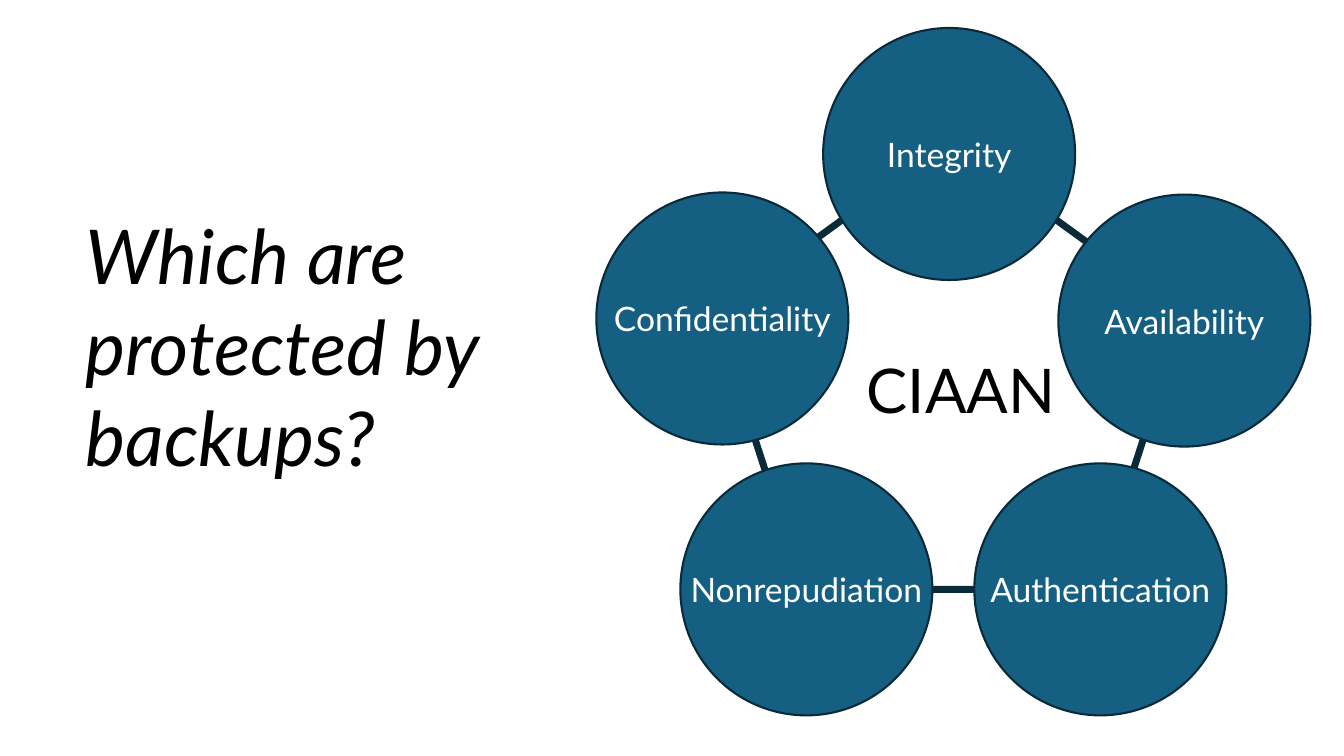
from dataclasses import dataclass

from pptx import Presentation
from pptx.dml.color import RGBColor
from pptx.enum.shapes import MSO_SHAPE
from pptx.enum.text import MSO_ANCHOR, MSO_AUTO_SIZE, PP_ALIGN
from pptx.util import Pt


@dataclass(frozen=True)
class Theme:
    font: str = "Lato"
    text: str = "000000"
    on_fill: str = "FFFFFF"
    fill: str = "156082"
    line: str = "092A39"
    question_size: int = 54
    title_size: int = 44
    label_size: int = 24
    ring_width: float = 5
    circle_width: float = 1.5


def write_text(tf, text, *, font, size, color, italic=False, align=PP_ALIGN.LEFT,
               anchor=MSO_ANCHOR.TOP, wrap=True, spacing=1.0):
    """Fill a text frame with one formatted paragraph."""
    tf.word_wrap = wrap
    tf.vertical_anchor = anchor
    p = tf.paragraphs[0]
    p.alignment = align
    p.line_spacing = spacing
    r = p.add_run()
    r.text = text
    r.font.name = font
    r.font.size = Pt(size)
    r.font.italic = italic
    r.font.color.rgb = RGBColor.from_string(color)


class SlideBuilder:
    def __init__(self, slide, theme):
        self.s = slide
        self.theme = theme

    def text_box(self, text, x, y, w, h, size, grow=False, **fmt):
        sp = self.s.shapes.add_textbox(Pt(x), Pt(y), Pt(w), Pt(h))
        write_text(sp.text_frame, text, font=self.theme.font, size=size,
                   color=self.theme.text, **fmt)
        if grow:
            sp.text_frame.auto_size = MSO_AUTO_SIZE.SHAPE_TO_FIT_TEXT

    def shape(self, kind, x, y, w, h, line_width, fill=None):
        sp = self.s.shapes.add_shape(kind, Pt(x), Pt(y), Pt(w), Pt(h))
        sp.shadow.inherit = False
        if fill:
            sp.fill.solid()
            sp.fill.fore_color.rgb = RGBColor.from_string(fill)
        else:
            sp.fill.background()
        sp.line.color.rgb = RGBColor.from_string(self.theme.line)
        sp.line.width = Pt(line_width)
        return sp

    def circle(self, label, cx, cy, diameter):
        t = self.theme
        sp = self.shape(MSO_SHAPE.OVAL, cx - diameter / 2, cy - diameter / 2,
                        diameter, diameter, t.circle_width, t.fill)
        write_text(sp.text_frame, label, font=t.font, size=t.label_size, color=t.on_fill,
                   align=PP_ALIGN.CENTER, anchor=MSO_ANCHOR.MIDDLE, wrap=False)


def main():
    prs = Presentation()
    prs.slide_width, prs.slide_height = Pt(960), Pt(540)
    theme = Theme()
    b = SlideBuilder(prs.slides.add_slide(prs.slide_layouts[6]), theme)

    # Title in the middle of the ring, question on the left
    b.text_box("CIAAN", 612, 227, 156, 108, theme.title_size,
               anchor=MSO_ANCHOR.MIDDLE, spacing=0.9)
    b.text_box("Which are protected by backups?", 54, 146, 384, 204,
               theme.question_size, grow=True, italic=True)

    # Pentagon that links the five principles
    b.shape(MSO_SHAPE.REGULAR_PENTAGON, 510, 101.5, 336, 319.5, theme.ring_width)

    # Principles, by circle centre
    principles = {
        "Integrity": (678, 110),
        "Confidentiality": (516, 227.5),
        "Availability": (846, 229),
        "Authentication": (786, 421),
        "Nonrepudiation": (576, 421),
    }
    for label, (cx, cy) in principles.items():
        b.circle(label, cx, cy, diameter=180)

    prs.save("out.pptx")


if __name__ == "__main__":
    main()
